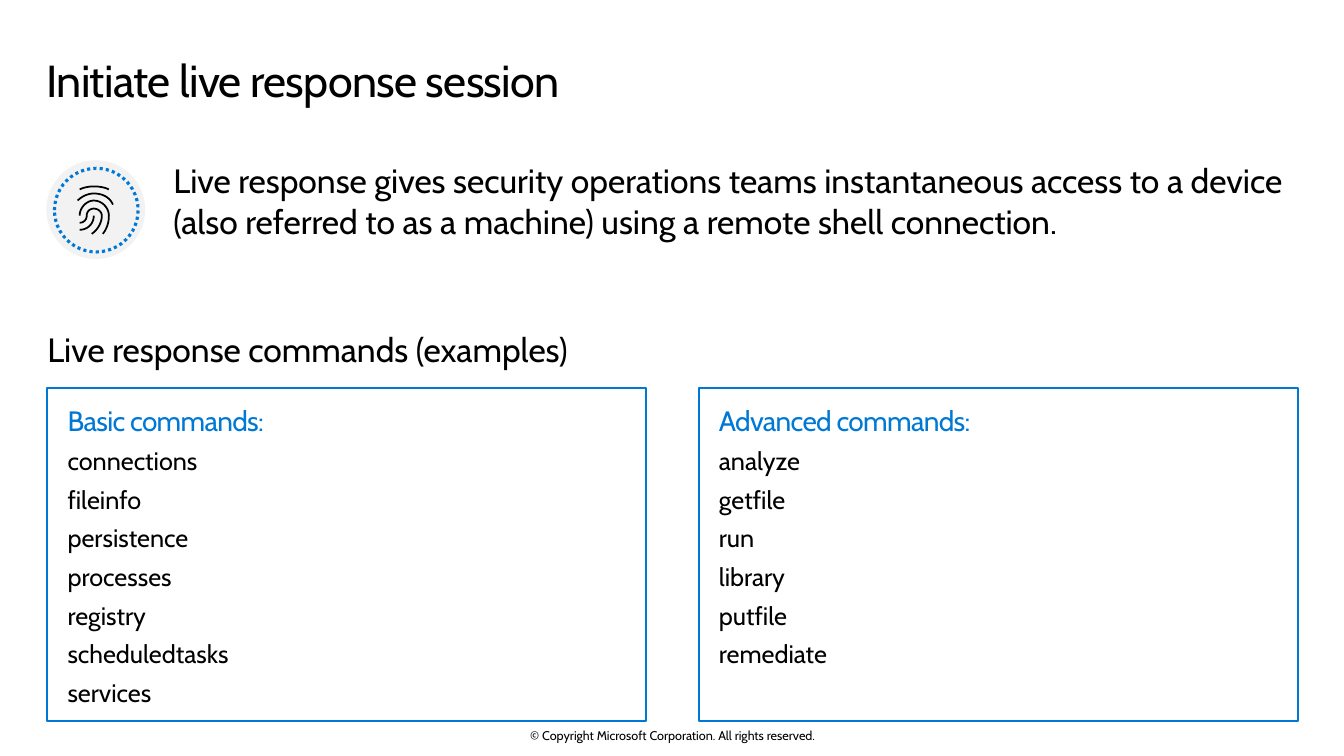
from lxml import etree
from pptx import Presentation
from pptx.dml.color import RGBColor
from pptx.enum.dml import MSO_LINE
from pptx.enum.shapes import MSO_SHAPE
from pptx.enum.text import MSO_ANCHOR, MSO_AUTO_SIZE, PP_ALIGN
from pptx.oxml.ns import qn
from pptx.util import Inches, Pt

OVAL = MSO_SHAPE.OVAL
DOTTED = MSO_LINE.ROUND_DOT
TOP, MIDDLE = MSO_ANCHOR.TOP, MSO_ANCHOR.MIDDLE
FIXED_SIZE = MSO_AUTO_SIZE.NONE
LEFT, CENTER = PP_ALIGN.LEFT, PP_ALIGN.CENTER

BLACK = RGBColor(0x00, 0x00, 0x00)
BLUE = RGBColor(0x00, 0x78, 0xD4)
PALE_GRAY = RGBColor(0xF2, 0xF2, 0xF2)

COMPARISON_LAYOUT = 4
CURVE_STEPS = 12
FINGERPRINT_STROKES = [
    [(0.93, 2.14), (0.93, 2.22), (0.87, 2.28), (0.79, 2.28)],
    [(1.08, 1.88), (1.04, 1.86), (0.99, 1.85), (0.93, 1.85),
     (0.88, 1.85), (0.83, 1.86), (0.79, 1.88)],
    [(1.12, 2.03), (1.09, 1.96), (1.02, 1.92), (0.93, 1.92),
     (0.87, 1.92), (0.81, 1.95), (0.77, 1.99)],
    [(1.02, 2.32), (1.06, 2.27), (1.08, 2.21), (1.08, 2.14),
     (1.08, 2.06), (1.01, 1.99), (0.93, 1.99),
     (0.86, 1.99), (0.79, 2.06), (0.79, 2.14)],
    [(0.91, 2.32), (0.97, 2.28), (1.01, 2.21), (1.01, 2.14),
     (1.01, 2.10), (0.97, 2.07), (0.93, 2.07),
     (0.89, 2.07), (0.86, 2.10), (0.86, 2.14),
     (0.86, 2.18), (0.83, 2.21), (0.79, 2.21)],
]
COMMANDS = [
    ("Basic commands:", ["connections", "fileinfo", "persistence", "processes",
                         "registry", "scheduledtasks", "services"]),
    ("Advanced commands:", ["analyze", "getfile", "run", "library", "putfile",
                            "remediate"]),
]


def curve_points(stroke):
    """Return points along a chain of cubic curves."""
    points = [stroke[0]]
    for first in range(0, len(stroke) - 1, 3):
        controls = stroke[first:first + 4]
        for step in range(1, CURVE_STEPS + 1):
            t = step / CURVE_STEPS
            weights = ((1 - t) ** 3, 3 * t * (1 - t) ** 2,
                       3 * t ** 2 * (1 - t), t ** 3)
            points.append(tuple(
                sum(weight * control[axis]
                    for weight, control in zip(weights, controls))
                for axis in (0, 1)))
    return [(Inches(x), Inches(y)) for x, y in points]


class SlideBuilder:
    """Hold the slide and its style and add each kind of element."""

    font_name = "Cabin"

    def __init__(self, presentation):
        layout = presentation.slide_layouts[COMPARISON_LAYOUT]
        self.slide = presentation.slides.add_slide(layout)

    def place(self, shape, box, insets=(0, 0, 0, 0), anchor=TOP):
        shape.left, shape.top, shape.width, shape.height = map(Inches, box)
        frame = shape.text_frame
        frame.word_wrap = True
        frame.auto_size = FIXED_SIZE
        frame.vertical_anchor = anchor
        (frame.margin_left, frame.margin_top,
         frame.margin_right, frame.margin_bottom) = map(Inches, insets)
        return frame

    def fill_paragraph(self, paragraph, text, size, color=BLACK, align=LEFT,
                       before=0, after=0, tracking=0):
        run = paragraph.add_run()
        run.text = text
        run._r.get_or_add_rPr().set("spc", str(tracking))
        properties = paragraph._p.get_or_add_pPr()
        properties.set("marL", "0")
        properties.set("indent", "0")
        etree.SubElement(properties, qn("a:buNone"))
        paragraph.alignment = align
        paragraph.line_spacing = 1.0
        paragraph.space_before = Pt(before)
        paragraph.space_after = Pt(after)
        font = paragraph.font
        font.name, font.size, font.bold = self.font_name, Pt(size), False
        font.color.rgb = color

    def title(self, text, box):
        frame = self.place(self.slide.shapes.title, box, (0, 0.1, 0.16, 0.1))
        self.fill_paragraph(frame.paragraphs[0], text, 32, tracking=-50)
        frame.paragraphs[0].line_spacing = 0.9

    def statement(self, index, text, box):
        frame = self.place(self.slide.placeholders[index], box)
        self.fill_paragraph(frame.paragraphs[0], text, 24, after=5.9)

    def command_list(self, index, heading, commands, box):
        shape = self.slide.placeholders[index]
        shape.line.color.rgb = BLUE
        shape.line.width = Pt(1.5)
        frame = self.place(shape, box, (0.2, 0.15, 0.2, 0.1))
        self.fill_paragraph(frame.paragraphs[0], heading, 20, BLUE,
                            after=4, tracking=-50)
        for command in commands:
            self.fill_paragraph(frame.add_paragraph(), command, 18,
                                before=2, after=4)

    def footer(self, text, box):
        shape = self.slide.shapes.add_textbox(*map(Inches, box))
        frame = self.place(shape, box, anchor=MIDDLE)
        self.fill_paragraph(frame.paragraphs[0], text, 9, align=CENTER)

    def disc(self, box):
        shape = self.slide.shapes.add_shape(OVAL, *map(Inches, box))
        shape.shadow.inherit = False
        shape.fill.solid()
        shape.fill.fore_color.rgb = PALE_GRAY
        shape.line.fill.background()

    def outline(self, shape, color, width):
        shape.shadow.inherit = False
        shape.fill.background()
        shape.line.color.rgb = color
        shape.line.width = Pt(width)

    def dotted_ring(self, box):
        shape = self.slide.shapes.add_shape(OVAL, *map(Inches, box))
        self.outline(shape, BLUE, 2.25)
        shape.line.dash_style = DOTTED

    def fingerprint(self, strokes):
        curves = [curve_points(stroke) for stroke in strokes]
        builder = self.slide.shapes.build_freeform(*curves[0][0])
        for curve in curves:
            builder.move_to(*curve[0])
            builder.add_line_segments(curve[1:], close=False)
        self.outline(builder.convert_to_shape(), BLACK, 1.25)


def main():
    presentation = Presentation()
    presentation.slide_width = Inches(13.33)
    presentation.slide_height = Inches(7.5)
    builder = SlideBuilder(presentation)

    builder.title("Initiate live response session", (0.46, 0.48, 12.4, 0.74))
    builder.disc((0.46, 1.59, 0.98, 0.98))
    builder.dotted_ring((0.54, 1.67, 0.83, 0.83))
    builder.fingerprint(FINGERPRINT_STROKES)
    builder.statement(
        1, "Live response gives security operations teams instantaneous access "
        "to a device (also referred to as a machine) using a remote shell "
        "connection.", (1.72, 1.59, 11.16, 0.98))
    builder.statement(3, "Live response commands (examples)",
                      (0.47, 3.26, 12.4, 0.59))
    for column, (heading, commands) in enumerate(COMMANDS):
        builder.command_list(2 + 2 * column, heading, commands,
                             (0.47 + 6.46 * column, 3.85, 5.94, 3.3))
    builder.footer("© Copyright Microsoft Corporation. All rights reserved.",
                   (4.42, 7.22, 4.5, 0.15))
    presentation.save("out.pptx")


if __name__ == "__main__":
    main()
